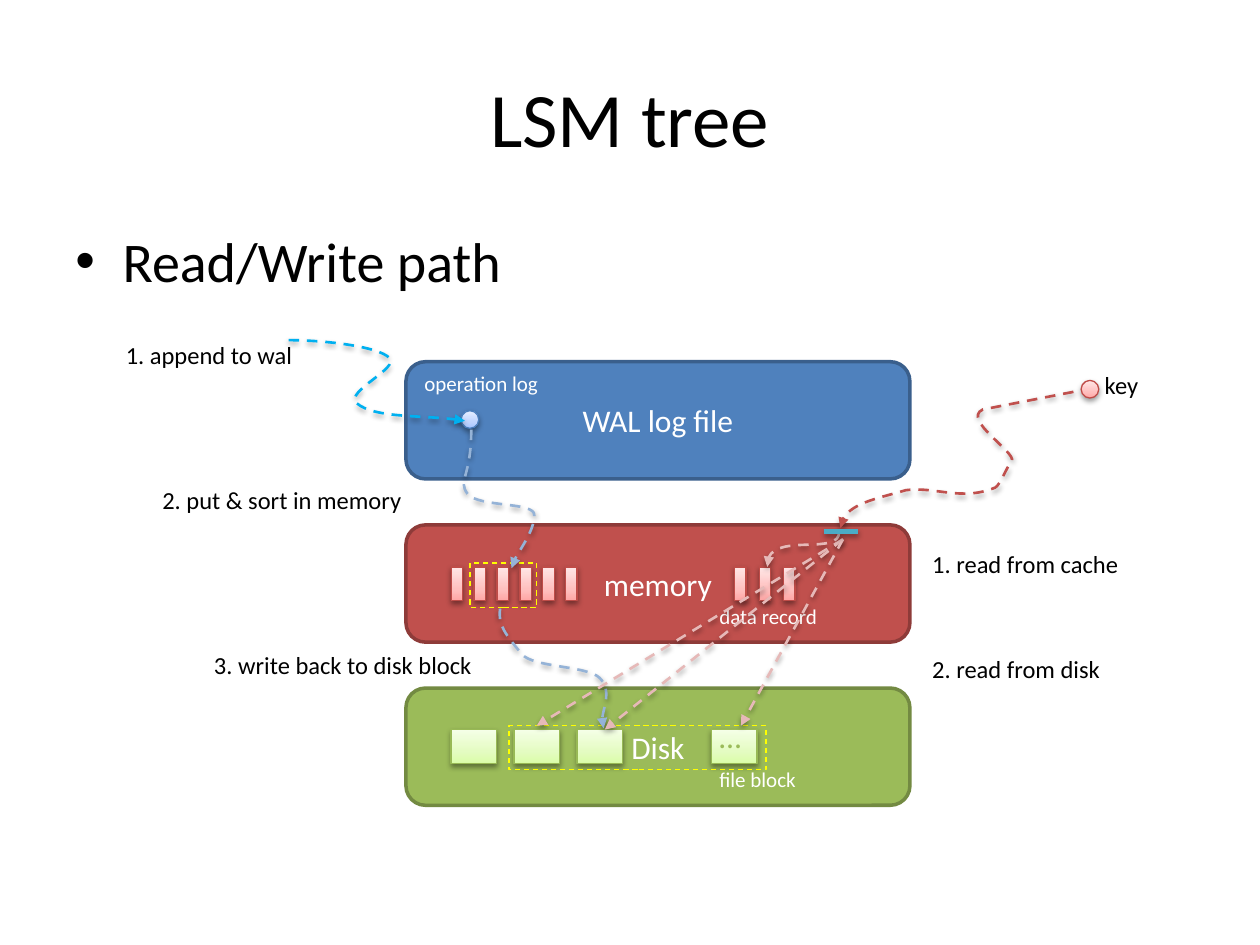
from copy import deepcopy
from lxml import etree
from pptx import Presentation
from pptx.dml.color import RGBColor
from pptx.enum.dml import MSO_LINE
from pptx.enum.shapes import MSO_CONNECTOR, MSO_SHAPE
from pptx.enum.text import MSO_ANCHOR, MSO_AUTO_SIZE, PP_ALIGN
from pptx.oxml.ns import qn
from pptx.util import Pt

RECT, ROUND, OVAL = MSO_SHAPE.RECTANGLE, MSO_SHAPE.ROUNDED_RECTANGLE, MSO_SHAPE.OVAL
STRAIGHT = MSO_CONNECTOR.STRAIGHT
DASH = MSO_LINE.DASH
MIDDLE = MSO_ANCHOR.MIDDLE
CENTER = PP_ALIGN.CENTER
GROW = MSO_AUTO_SIZE.SHAPE_TO_FIT_TEXT

BLACK = RGBColor(0x00, 0x00, 0x00)
WHITE = RGBColor(0xFF, 0xFF, 0xFF)
YELLOW = RGBColor(0xFF, 0xFF, 0x00)
BLUE = RGBColor(0x4F, 0x81, 0xBD)
NAVY = RGBColor(0x3A, 0x5F, 0x8C)
RED = RGBColor(0xC0, 0x50, 0x4D)
MAROON = RGBColor(0x8E, 0x3B, 0x39)
GREEN = RGBColor(0x9B, 0xBB, 0x59)
OLIVE = RGBColor(0x73, 0x8A, 0x42)
CYAN = RGBColor(0x00, 0xB0, 0xF0)
SKY = RGBColor(0x95, 0xB3, 0xD7)
ROSE = RGBColor(0xE6, 0xB9, 0xB8)
TEAL = RGBColor(0x4B, 0xAC, 0xC6)
PINKS = [RGBColor(0xFF, 0xA6, 0xA5), RGBColor(0xFF, 0xC0, 0xBF), RGBColor(0xFF, 0xE7, 0xE7)]
LIMES = [RGBColor(0xDA, 0xFD, 0xA7), RGBColor(0xE4, 0xFC, 0xC2), RGBColor(0xF5, 0xFF, 0xE7)]
PALES = [RGBColor(0xA4, 0xC4, 0xFF), RGBColor(0xBF, 0xD4, 0xFF), RGBColor(0xE6, 0xEE, 0xFF)]
BRICK = RGBColor(0xBF, 0x4C, 0x48)
LEAF = RGBColor(0x98, 0xB9, 0x55)
STEEL = RGBColor(0x4B, 0x7E, 0xBC)


def style(shape, color, width, arrow=False):
    line = shape.line
    line.color.rgb = color
    line.width = Pt(width)
    props = shape._element.spPr
    if arrow:
        line.dash_style = DASH
        etree.SubElement(props.find(qn("a:ln")), qn("a:tailEnd"), type="triangle")
    effects = etree.SubElement(props, qn("a:effectLst"))
    shadow = etree.SubElement(effects, qn("a:outerShdw"), blurRad=str(Pt(3.1)),
                              dist=str(Pt(1.6)), dir="5400000", rotWithShape="0")
    tint = etree.SubElement(shadow, qn("a:srgbClr"), val="000000")
    etree.SubElement(tint, qn("a:alpha"), val="38000")


def write(shape, text, size, color):
    shape.text_frame.text = text
    font = shape.text_frame.paragraphs[0].runs[0].font
    font.name = "Calibri"
    font.size = Pt(size)
    font.color.rgb = color


deck = Presentation()
deck.slide_width, deck.slide_height = Pt(720), Pt(540)
slide = deck.slides.add_slide(deck.slide_layouts[6])
shapes = slide.shapes

title = shapes.add_textbox(Pt(36), Pt(21.6), Pt(648), Pt(90))
write(title, "LSM tree", 44, BLACK)
title.text_frame.word_wrap = True
title.text_frame.vertical_anchor = MIDDLE
title.text_frame.paragraphs[0].alignment = CENTER

body = shapes.add_textbox(Pt(36), Pt(126), Pt(648), Pt(356.4))
write(body, "Read/Write path", 32, BLACK)
body.text_frame.word_wrap = True
props = body.text_frame.paragraphs[0]._p.get_or_add_pPr()
props.set("marL", str(Pt(27)))
props.set("indent", str(Pt(-27)))
etree.SubElement(props, qn("a:buFont"), typeface="Arial")
etree.SubElement(props, qn("a:buChar"), char="•")

layers = [("WAL log file", BLUE, NAVY), ("memory", RED, MAROON), ("Disk", GREEN, OLIVE)]
for row, (name, fill, edge) in enumerate(layers):
    layer = shapes.add_shape(ROUND, Pt(232), Pt(206.7 + 93.25 * row), Pt(288), Pt(67))
    layer.shadow.inherit = False
    layer.fill.solid()
    layer.fill.fore_color.rgb = fill
    layer.line.color.rgb = edge
    layer.line.width = Pt(2)
    write(layer, name, 18, WHITE)
    layer.text_frame.vertical_anchor = MIDDLE
    layer.text_frame.paragraphs[0].alignment = CENTER

items = [(RECT, 257.8 + 13.1 * i, 324, 6.5, 19.4, PINKS, BRICK) for i in range(6)]
items += [(RECT, 419.8 + 14 * i, 324, 6.5, 19.4, PINKS, BRICK) for i in range(3)]
items += [(RECT, x, 416.9, 25.9, 19.4, LIMES, LEAF) for x in (257.8, 293.8, 329.8, 406.8)]
items += [(OVAL, 263.5, 234.7, 10.1, 10.1, PALES, STEEL),
          (OVAL, 617.8, 217.4, 10.1, 10.1, PINKS, BRICK)]
for kind, x, y, w, h, tints, edge in items:
    item = shapes.add_shape(kind, Pt(x), Pt(y), Pt(w), Pt(h))
    item.fill.gradient()
    item.fill.gradient_angle = 90
    first = item._element.spPr.find(".//" + qn("a:gs"))
    first.addnext(deepcopy(first))
    for stop, spot, tint in zip(item.fill.gradient_stops, (0, 0.35, 1), tints):
        stop.position = spot
        stop.color.rgb = tint
    style(item, edge, 0.75)

for x, y, w in [(268.6, 321.8, 38.2), (290.9, 414.7, 146.9)]:
    frame = shapes.add_shape(RECT, Pt(x), Pt(y), Pt(w), Pt(25.2))
    frame.shadow.inherit = False
    frame.fill.background()
    frame.line.color.rgb = YELLOW
    frame.line.width = Pt(0.75)
    frame.line.dash_style = DASH

labels = [
    ("1. append to wal", 64.8, 190.8, 127.4, 28.8, 14, BLACK),
    ("2. put & sort in memory", 85.7, 273.6, 175.7, 28.8, 14, BLACK),
    ("3. write back to disk block", 115.2, 368, 188, 28.8, 14, BLACK),
    ("key", 624.2, 208, 38.9, 28.8, 14, BLACK),
    ("1. read from cache", 525.6, 310.3, 121.7, 24.5, 14, BLACK),
    ("2. read from disk", 525.6, 370, 110.9, 24.5, 14, BLACK),
    ("operation log", 235.4, 208, 94.3, 25.9, 12, WHITE),
    ("data record", 404, 341.3, 82, 25.9, 12, WHITE),
    ("file block", 404, 434.2, 67.7, 25.9, 12, WHITE),
    ("…", 404, 406, 31, 33.8, 18, GREEN),
]
for text, x, y, w, h, size, color in labels:
    label = shapes.add_textbox(Pt(x), Pt(y), Pt(w), Pt(h))
    write(label, text, size, color)
    label.text_frame.word_wrap = False
    label.text_frame.auto_size = GROW

curves = [
    (CYAN, [(164.9, 194.4), (185.8, 194.4), (216, 198), (222.5, 204.5), (229, 210.2),
            (196.6, 223.9), (203.8, 230.4), (213.8, 239), (244.8, 236.9), (265.7, 240.5)]),
    (SKY, [(269.3, 245.5), (269.3, 272.9), (261.4, 274.3), (267.1, 282.2), (273.6, 290.2),
           (306, 286.6), (305.3, 294.5), (305.3, 303.1), (291.6, 321.8), (292.3, 324.7)]),
    (SKY, [(285.8, 347.8), (284.4, 357.1), (288.7, 362.2), (298.1, 373.7), (304.6, 381.6),
           (335.5, 380.2), (342.7, 387.4), (349.9, 394.6), (341.3, 412.6), (344.9, 416.2)]),
    (RED, [(613.4, 223.9), (613.4, 223.9), (561.6, 234), (561.6, 234), (549.4, 239.8),
           (581, 258.5), (578.2, 263.5), (574.6, 267.8), (572.4, 275.8), (568.8, 278.6),
           (549.4, 286.6), (535, 277.9), (517.7, 280.1), (503.3, 284.4), (481, 288),
           (480.2, 301.7)]),
    (ROSE, [(479.5, 303.8), (480.2, 317.5), (437, 302.4), (438.5, 324)]),
]
for color, dots in curves:
    spots = [(Pt(x), Pt(y)) for x, y in dots]
    pen = shapes.build_freeform(*spots[0])
    pen.add_line_segments(spots[1:], close=False)
    curve = pen.convert_to_shape()
    legs = list(curve._element.iter(qn("a:lnTo")))
    for i in range(0, len(legs), 3):
        bend = etree.Element(qn("a:cubicBezTo"))
        legs[i].addprevious(bend)
        for leg in legs[i:i + 3]:
            bend.append(leg[0])
            leg.getparent().remove(leg)
    curve.fill.background()
    style(curve, color, 1.5, arrow=True)

for x, y in [(306.7, 414.7), (345.6, 416.9), (423.4, 414.7)]:
    arrow = shapes.add_connector(STRAIGHT, Pt(481.7), Pt(308.2), Pt(x), Pt(y))
    style(arrow, ROSE, 1.5, arrow=True)

cache = shapes.add_connector(STRAIGHT, Pt(470.9), Pt(303.8), Pt(490.3), Pt(303.8))
style(cache, TEAL, 3)

deck.save("out.pptx")
